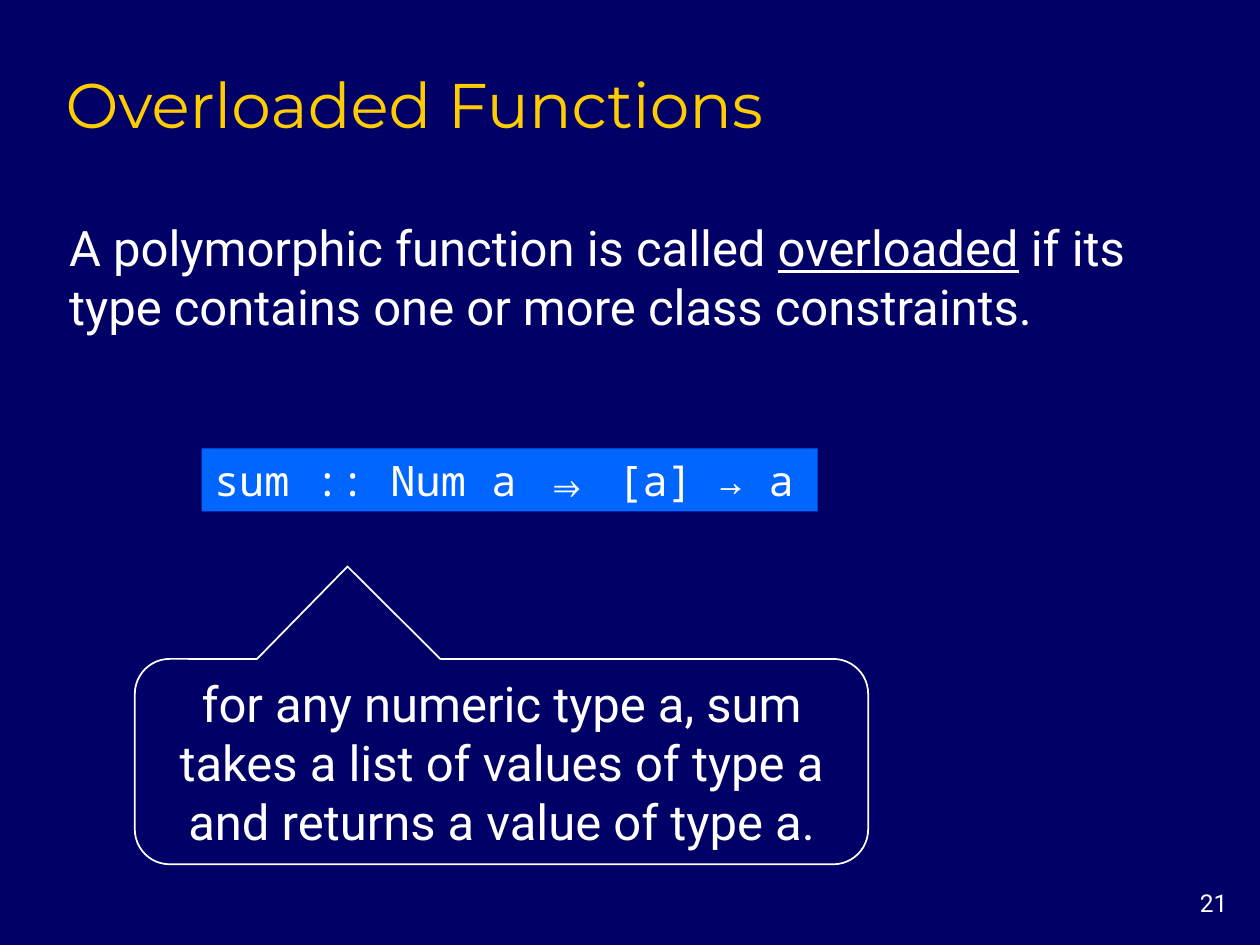
from dataclasses import dataclass

from pptx import Presentation
from pptx.dml.color import RGBColor
from pptx.enum.shapes import MSO_SHAPE as Shape
from pptx.enum.text import MSO_ANCHOR as Anchor, PP_ALIGN as Align
from pptx.util import Inches, Pt

COLORS = {
    "background": "000066",
    "title": "FFCC00",
    "text": "FFFFFF",
    "code": "0066FF",
}


@dataclass(frozen=True)
class Frame:
    left: float
    top: float
    width: float
    height: float

    def lengths(self) -> tuple:
        return tuple(Inches(v) for v in (self.left, self.top, self.width, self.height))


def rgb(name: str) -> RGBColor:
    return RGBColor.from_string(COLORS[name])


def write(box, text: str, *, size: int = 28, font: str = "Roboto",
          color: str = "text", align=Align.LEFT, anchor=Anchor.MIDDLE,
          wrap: bool = True, underlined: str = "") -> None:
    """Fill the box with one paragraph, underlining one phrase if given."""
    frame = box.text_frame
    frame.word_wrap = wrap
    frame.vertical_anchor = anchor
    para = frame.paragraphs[0]
    para.alignment = align
    before, phrase, after = text.partition(underlined) if underlined else (text, "", "")
    for part in filter(None, (before, phrase, after)):
        span = para.add_run()
        span.text = part
        span.font.name = font
        span.font.size = Pt(size)
        span.font.color.rgb = rgb(color)
        if part == underlined:
            span.font.underline = True


def add_box(page, kind, frame: Frame, *, fill: str = "", line: str = ""):
    box = page.shapes.add_shape(kind, *frame.lengths())
    box.shadow.inherit = False
    if fill:
        box.fill.solid()
        box.fill.fore_color.rgb = rgb(fill)
    else:
        box.fill.background()
    if line:
        box.line.color.rgb = rgb(line)
        box.line.width = Pt(1)
    else:
        box.line.fill.background()
    return box


def main() -> None:
    deck = Presentation()
    deck.slide_width, deck.slide_height = Inches(10), Inches(7.5)
    page = deck.slides.add_slide(deck.slide_layouts[5])
    page.background.fill.solid()
    page.background.fill.fore_color.rgb = rgb("background")

    title = page.shapes.title
    title.left, title.top, title.width, title.height = Frame(0.42, 0.42, 8.5, 0.75).lengths()
    write(title, "Overloaded Functions", size=36, font="Montserrat",
          color="title", anchor=Anchor.BOTTOM)

    number = page.shapes.add_textbox(*Frame(9.17, 7, 0.67, 0.33).lengths())
    write(number, "21", size=14, align=Align.RIGHT, anchor=Anchor.TOP)

    definition = page.shapes.add_textbox(*Frame(0.45, 1.68, 8.91, 1.03).lengths())
    write(definition,
          "A polymorphic function is called overloaded if its type contains "
          "one or more class constraints.",
          underlined="overloaded")

    signature = add_box(page, Shape.RECTANGLE, Frame(1.6, 3.56, 4.89, 0.5), fill="code")
    write(signature, "sum :: Num a ⇒ [a] → a", size=24, font="Noto Sans Mono", wrap=False)

    callout = add_box(page, Shape.ROUNDED_RECTANGULAR_CALLOUT,
                      Frame(1.07, 5.23, 5.82, 1.63), line="text")
    for index, value in enumerate((-0.21, -0.95, 0.17)):
        callout.adjustments[index] = value
    write(callout,
          "for any numeric type a, sum takes a list of values of type a "
          "and returns a value of type a.",
          align=Align.CENTER)

    deck.save("out.pptx")


if __name__ == "__main__":
    main()
